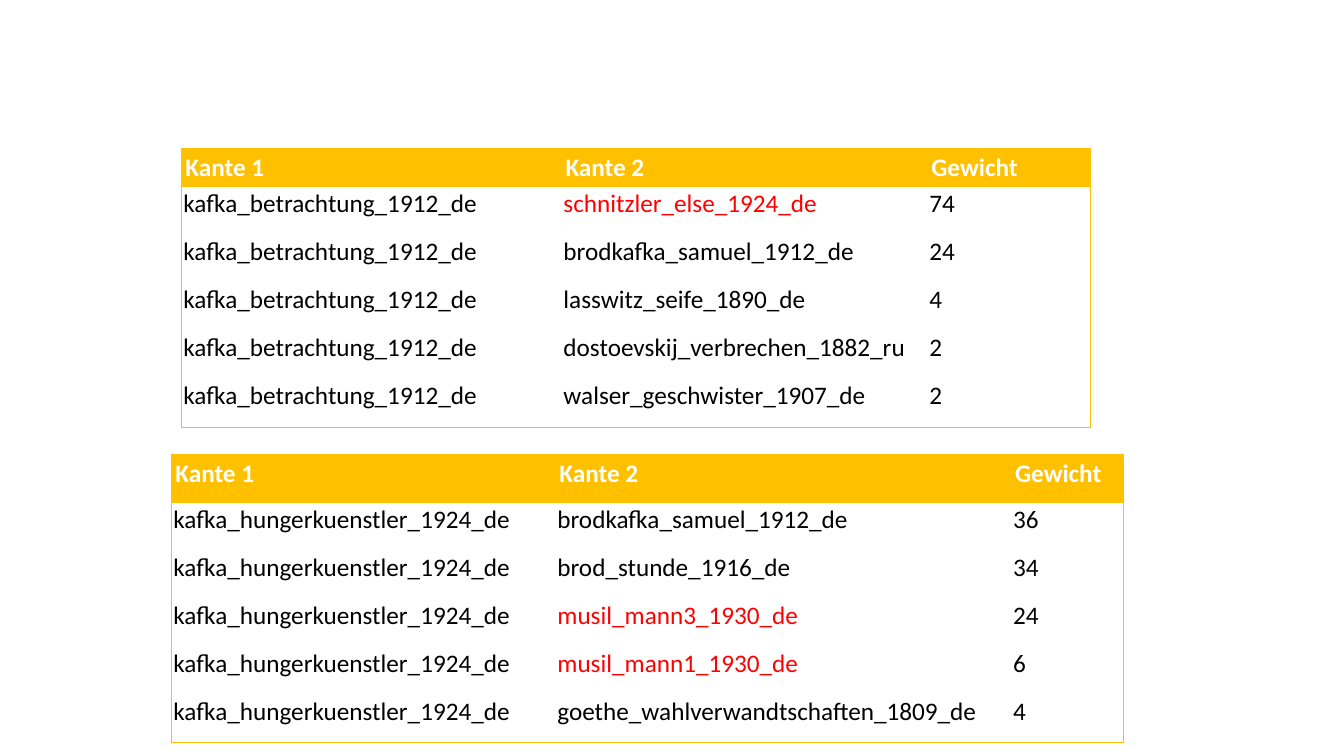
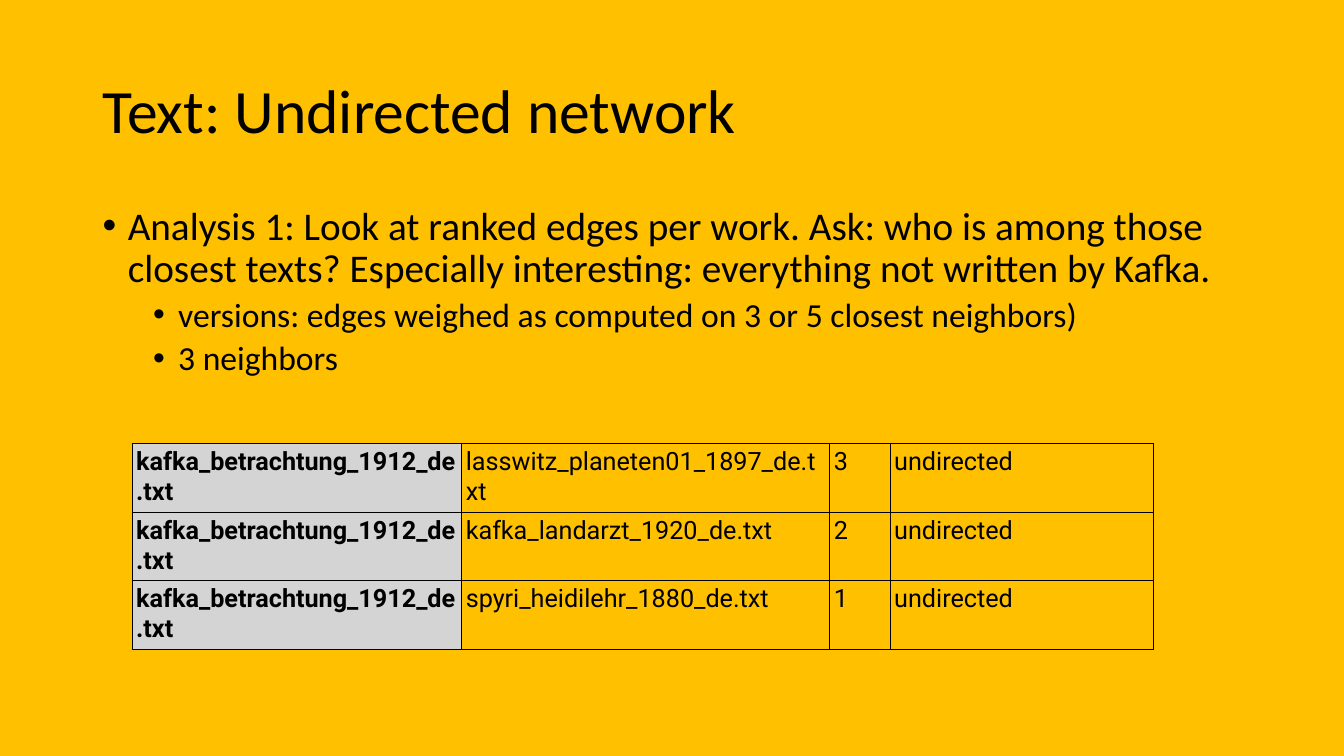
from lxml import etree
from pptx import Presentation
from pptx.dml.color import RGBColor
from pptx.enum.text import MSO_ANCHOR as Anchor
from pptx.oxml.ns import qn
from pptx.util import Inches, Pt

WIDTH, HEIGHT = Inches(13.333), Inches(7.5)
GOLD = RGBColor(0xFF, 0xC0, 0x00)
WHITE = RGBColor(0xFF, 0xFF, 0xFF)
BLACK = RGBColor(0x00, 0x00, 0x00)
RED = RGBColor(0xFF, 0x00, 0x00)
GREY = RGBColor(0xD4, 0xD4, 0xD4)

HEADER_TEXT = dict(name="Calibri", size=Pt(18), bold=True)
BODY_TEXT = dict(HEADER_TEXT, bold=False)
LIST_TEXT = dict(name="Roboto", size=Pt(18))
EDGE_HEADINGS = ["Kante 1", "Kante 2", "Gewicht"]
EDGE_ROW = 6.35


# Lengths as percent of the slide
def across(percent):
    return round(WIDTH * percent / 100)


def down(percent):
    return round(HEIGHT * percent / 100)


def add_page(deck, color):
    page = deck.slides.add_slide(deck.slide_layouts[6])
    page.background.fill.solid()
    page.background.fill.fore_color.rgb = color
    return page


# Text
def write(para, text, color, style):
    span = para.add_run()
    span.text = text
    for name, value in style.items():
        setattr(span.font, name, value)
    span.font.color.rgb = color


def add_bullet(para, left, hanging):
    props = para._p.get_or_add_pPr()
    props.set("marL", str(Inches(left)))
    props.set("indent", str(-Inches(hanging)))
    etree.SubElement(props, qn("a:buFont"), typeface="Arial")
    etree.SubElement(props, qn("a:buChar"), char="•")


def add_box(page, top, height, lines, anchor=Anchor.TOP):
    """Each line is text, size, bullet indent (or None), space before."""
    box = page.shapes.add_textbox(across(6.9), down(top),
                                  across(86.27), down(height))
    frame = box.text_frame
    frame.word_wrap = True
    frame.vertical_anchor = anchor
    for index, (text, size, left, gap) in enumerate(lines):
        para = frame.add_paragraph() if index else frame.paragraphs[0]
        if left is not None:
            add_bullet(para, left, 0.25)
        para.line_spacing = 0.9
        para.space_before = Pt(gap)
        write(para, text, BLACK, dict(name="Calibri", size=Pt(size)))


# Tables
def set_borders(cell, sides, color, points):
    """Draw the named sides (of L, R, T, B) and clear the others."""
    props = cell._tc.get_or_add_tcPr()
    for side in "LRTB":
        line = etree.SubElement(props, qn(f"a:ln{side}"), w=str(Pt(points)))
        if side in sides:
            fill = etree.SubElement(line, qn("a:solidFill"))
            etree.SubElement(fill, qn("a:srgbClr"), val=str(color))
        else:
            etree.SubElement(line, qn("a:noFill"))


def fill_cell(cell, text, color, style, inset, fill=None):
    for side in ("left", "right", "top", "bottom"):
        setattr(cell, f"margin_{side}", Inches(inset))
    if fill is None:
        cell.fill.background()
    else:
        cell.fill.solid()
        cell.fill.fore_color.rgb = fill
    write(cell.text_frame.paragraphs[0], text, color, style)


def add_grid(page, left, top, columns, rows):
    frame = page.shapes.add_table(len(rows), len(columns), across(left),
                                  down(top), across(sum(columns)),
                                  down(sum(rows)))
    table = frame.table
    table.first_row = table.horz_banding = False
    for column, width in zip(table.columns, columns):
        column.width = across(width)
    for row, height in zip(table.rows, rows):
        row.height = down(height)
    return table


def add_edge_table(page, left, top, columns, header_height, work, edges):
    """Ranked neighbours of one work; the works in red stand out."""
    heights = [header_height] + [EDGE_ROW] * len(edges)
    table = add_grid(page, left, top, columns, heights)
    rows = [EDGE_HEADINGS] + [[work, other, weight]
                              for other, weight, _ in edges]
    last_row, last_column = len(rows) - 1, len(columns) - 1
    for r, texts in enumerate(rows):
        for c, text in enumerate(texts):
            cell = table.cell(r, c)
            outer = dict(L=c == 0, R=c == last_column,
                         T=r == 0, B=r == last_row)
            set_borders(cell, [s for s, on in outer.items() if on], GOLD, 0.5)
            if r == 0:
                fill_cell(cell, text, WHITE, HEADER_TEXT, 0.04, GOLD)
            else:
                color = RED if c == 1 and edges[r - 1][2] else BLACK
                fill_cell(cell, text, color, BODY_TEXT, 0.02)


def add_neighbor_table(page, work, neighbors):
    table = add_grid(page, 9.83, 58.67, [24.53, 27.38, 4.5, 19.58],
                     [8.93] * len(neighbors))
    for r, (other, weight) in enumerate(neighbors):
        for c, text in enumerate([work, other, weight, "undirected"]):
            cell = table.cell(r, c)
            set_borders(cell, "LRTB", BLACK, 0.75)
            fill_cell(cell, text, BLACK, dict(LIST_TEXT, bold=c == 0), 0.04,
                      GREY if c == 0 else None)


# Slides
def add_edges_page(deck):
    page = add_page(deck, WHITE)
    add_edge_table(page, 13.5, 19.6, [28.28, 27.23, 12.15], 5.03,
                   "kafka_betrachtung_1912_de", [
                       ("schnitzler_else_1924_de", "74", True),
                       ("brodkafka_samuel_1912_de", "24", False),
                       ("lasswitz_seife_1890_de", "4", False),
                       ("dostoevskij_verbrechen_1882_ru", "2", False),
                       ("walser_geschwister_1907_de", "2", False)])
    add_edge_table(page, 12.75, 60.13, [28.58, 33.91, 8.33], EDGE_ROW,
                   "kafka_hungerkuenstler_1924_de", [
                       ("brodkafka_samuel_1912_de", "36", False),
                       ("brod_stunde_1916_de", "34", False),
                       ("musil_mann3_1930_de", "24", True),
                       ("musil_mann1_1930_de", "6", True),
                       ("goethe_wahlverwandtschaften_1809_de", "4", False)])


def add_network_page(deck):
    page = add_page(deck, GOLD)
    add_box(page, 5.33, 19.33, [("Text: Undirected network", 44, None, 0)],
            Anchor.MIDDLE)
    add_box(page, 26.67, 63.47, [
        ("Analysis 1: Look at ranked edges per work. Ask: who is among those "
         "closest texts? Especially interesting: everything not written by "
         "Kafka.", 28, 0.25, 0),
        ("versions: edges weighed as computed on 3 or 5 closest neighbors)",
         24, 0.75, 5),
        ("3 neighbors", 24, 0.75, 5)])
    add_neighbor_table(page, "kafka_betrachtung_1912_de.txt", [
        ("lasswitz_planeten01_1897_de.txt", "3"),
        ("kafka_landarzt_1920_de.txt", "2"),
        ("spyri_heidilehr_1880_de.txt", "1")])


def main():
    deck = Presentation()
    deck.slide_width, deck.slide_height = WIDTH, HEIGHT
    add_edges_page(deck)
    add_network_page(deck)
    deck.save("out.pptx")


if __name__ == "__main__":
    main()
